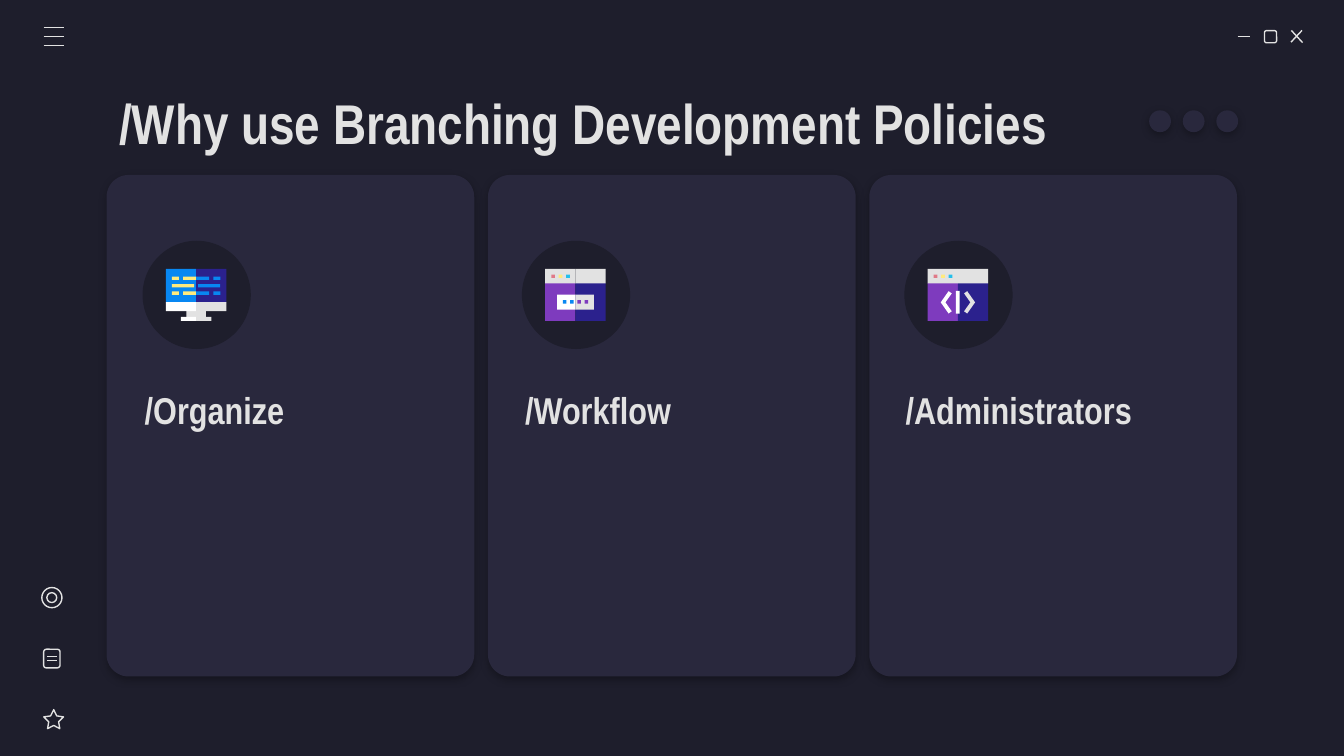
from lxml.etree import SubElement
from pptx import Presentation
from pptx.dml.color import RGBColor
from pptx.enum.shapes import MSO_CONNECTOR, MSO_SHAPE
from pptx.enum.text import MSO_ANCHOR
from pptx.oxml import parse_xml
from pptx.oxml.ns import nsdecls, qn
from pptx.util import Pt

NIGHT = RGBColor(0x1E, 0x1E, 0x2C)
PANEL = RGBColor(0x29, 0x28, 0x3D)
LIGHT = RGBColor(0xE2, 0xE2, 0xE2)
WHITE = RGBColor(0xFF, 0xFF, 0xFF)
INDIGO = RGBColor(0x2B, 0x21, 0x8D)
PURPLE = RGBColor(0x7E, 0x3B, 0xBE)
BLUE = RGBColor(0x08, 0x87, 0xF2)
CYAN = RGBColor(0x24, 0xBF, 0xEB)
YELLOW = RGBColor(0xFF, 0xEA, 0x7D)
PINK = RGBColor(0xE0, 0x7A, 0x88)
FONT = "Arial Narrow"
ICON_W = 32.4
HALF = ICON_W / 2

SHADOW = (
    f'<a:effectLst {nsdecls("a")}><a:outerShdw blurRad="{Pt(4.5)}" dist="{Pt(1.5)}" '
    'dir="5400000" algn="bl" rotWithShape="0"><a:srgbClr val="000000">'
    '<a:alpha val="30000"/></a:srgbClr></a:outerShdw></a:effectLst>'
)


def add_shape(s, kind, x, y, w, h, fill=None, adj=None, shadow=False):
    """Filled shape without outline, or a thin light outline when fill is None."""
    sp = s.shapes.add_shape(kind, Pt(x), Pt(y), Pt(w), Pt(h))
    paint(sp, fill)
    if adj is not None:
        sp.adjustments[0] = adj
    if shadow:
        props = sp._element.spPr
        props.remove(props.find(qn("a:effectLst")))
        props.append(parse_xml(SHADOW))


def paint(sp, fill):
    sp.shadow.inherit = False
    if fill is None:
        sp.fill.background()
        sp.line.color.rgb = LIGHT
        sp.line.width = Pt(0.75)
    else:
        sp.fill.solid()
        sp.fill.fore_color.rgb = fill
        sp.line.fill.background()


def add_line(s, x1, y1, x2, y2):
    c = s.shapes.add_connector(MSO_CONNECTOR.STRAIGHT, Pt(x1), Pt(y1), Pt(x2), Pt(y2))
    c.line.color.rgb = LIGHT
    c.line.width = Pt(0.75)
    SubElement(c._element.spPr, qn("a:effectLst"))


def add_outline(s, points, fill):
    points = [(Pt(x), Pt(y)) for x, y in points]
    builder = s.shapes.build_freeform(*points[0])
    builder.add_line_segments(points[1:], close=True)
    paint(builder.convert_to_shape(), fill)


def add_text(s, text, x, y, w, h, size):
    tf = s.shapes.add_textbox(Pt(x), Pt(y), Pt(w), Pt(h)).text_frame
    tf.word_wrap = True
    tf.vertical_anchor = MSO_ANCHOR.MIDDLE
    tf.margin_left = tf.margin_right = tf.margin_top = tf.margin_bottom = Pt(7.2)
    tf.text = text
    font = tf.paragraphs[0].runs[0].font
    font.name, font.size, font.bold = FONT, Pt(size), True
    font.color.rgb = LIGHT


def add_blocks(s, x, y, blocks):
    """Icon blocks given as (left, top, width, height, colour) from the icon corner."""
    for left, top, w, h, color in blocks:
        add_shape(s, MSO_SHAPE.RECTANGLE, x + left, y + top, w, h, color)


def split_block(left, top, h, left_color, right_color):
    """Two blocks of equal width that meet on the icon's centre line."""
    w = HALF - left
    return [(left, top, w, h, left_color), (HALF, top, w, h, right_color)]


def draw_monitor(s, x, y):
    blocks = (split_block(0, 0, 18, BLUE, INDIGO)
              + split_block(11, 21.7, 4.8, LIGHT, LIGHT)
              + split_block(8, 25.8, 2.2, WHITE, LIGHT)
              + split_block(0, 17.8, 4.9, WHITE, LIGHT))
    # Code lines on the screen
    for top in (4.2, 12.2):
        blocks += split_block(9.2, top, 1.8, YELLOW, BLUE)
        blocks += [(3.2, top, 3.8, 1.8, YELLOW), (25.4, top, 3.8, 1.8, BLUE)]
    blocks += [(3.2, 8.2, 11.9, 1.8, YELLOW), (17.2, 8.2, 11.9, 1.8, BLUE)]
    add_blocks(s, x, y, blocks)


def draw_window(s, x, y):
    blocks = (split_block(0, 7.7, 20.3, PURPLE, INDIGO)
              + split_block(0, 0, 7.8, LIGHT, LIGHT))
    for i, color in enumerate((PINK, YELLOW, CYAN)):
        blocks.append((3.2 + 4 * i, 3.2, 2, 1.7, color))
    add_blocks(s, x, y, blocks)


def draw_message_window(s, x, y):
    draw_window(s, x, y)
    blocks = split_block(6.3, 13.9, 8.1, WHITE, LIGHT)
    for i, color in enumerate((BLUE, BLUE, PURPLE, PURPLE)):
        blocks.append((9.4 + 3.9 * i, 16.8, 1.9, 1.9, color))
    add_blocks(s, x, y, blocks)


def draw_code_window(s, x, y):
    draw_window(s, x, y)
    chevron = [(11.2, 12), (7, 18), (11.2, 24), (12.9, 22.8), (9.5, 18), (12.9, 13.2)]
    add_outline(s, [(x + px, y + py) for px, py in chevron], WHITE)
    add_outline(s, [(x + ICON_W - px, y + py) for px, py in chevron], LIGHT)
    add_blocks(s, x, y, [(15.1, 11.9, 2, 12.2, WHITE)])


def draw_window_controls(s):
    add_line(s, 663, 19.6, 669.7, 19.6)
    add_shape(s, MSO_SHAPE.ROUNDED_RECTANGLE, 677.4, 16.4, 6.5, 6.5)
    add_line(s, 691.8, 16.3, 697.8, 22.8)
    add_line(s, 697.5, 16.3, 691.6, 22.6)


def draw_side_bar(s):
    # Menu
    for i in range(3):
        y = 14.8 + 4.8 * i
        add_line(s, 23.4, y, 34.2, y)
    # Target, document and star
    add_shape(s, MSO_SHAPE.OVAL, 22.4, 314.8, 10.8, 10.8)
    add_shape(s, MSO_SHAPE.OVAL, 25.1, 317.5, 5.3, 5.3)
    add_shape(s, MSO_SHAPE.ROUNDED_RECTANGLE, 23.4, 347.8, 8.8, 10)
    for y in (351.6, 354):
        add_line(s, 25.1, y, 30.5, y)
    add_shape(s, MSO_SHAPE.STAR_5_POINT, 23.5, 380.2, 10.6, 10.2, adj=0.25)


def main():
    prs = Presentation()
    prs.slide_width, prs.slide_height = Pt(720), Pt(405)
    s = prs.slides.add_slide(prs.slide_layouts[6])
    s.background.fill.solid()
    s.background.fill.fore_color.rgb = NIGHT

    # Window frame
    draw_window_controls(s)
    draw_side_bar(s)

    # Title and dots
    add_text(s, "/Why use Branching Development Policies", 56.7, 42.7, 606.7, 45.4, 30)
    for i in range(3):
        add_shape(s, MSO_SHAPE.OVAL, 615.6 + 18 * i, 59.1, 11.7, 11.7, PANEL, shadow=True)

    # Cards: badge left, heading, icon
    cards = [
        (76.4, "/Organize", draw_monitor),
        (279.6, "/Workflow", draw_message_window),
        (484.5, "/Administrators", draw_code_window),
    ]
    for i, (badge_x, heading, draw_icon) in enumerate(cards):
        add_shape(s, MSO_SHAPE.ROUNDED_RECTANGLE, 57.1 + 204.3 * i, 93.7, 197, 268.7,
                  PANEL, adj=0.06, shadow=True)
        add_shape(s, MSO_SHAPE.OVAL, badge_x, 129, 58, 58, NIGHT)
        add_text(s, heading, 70.4 + 203.8 * i, 201, 171.4, 36.7, 20)
        draw_icon(s, badge_x + 12.5, 144)

    prs.save("out.pptx")


if __name__ == "__main__":
    main()
